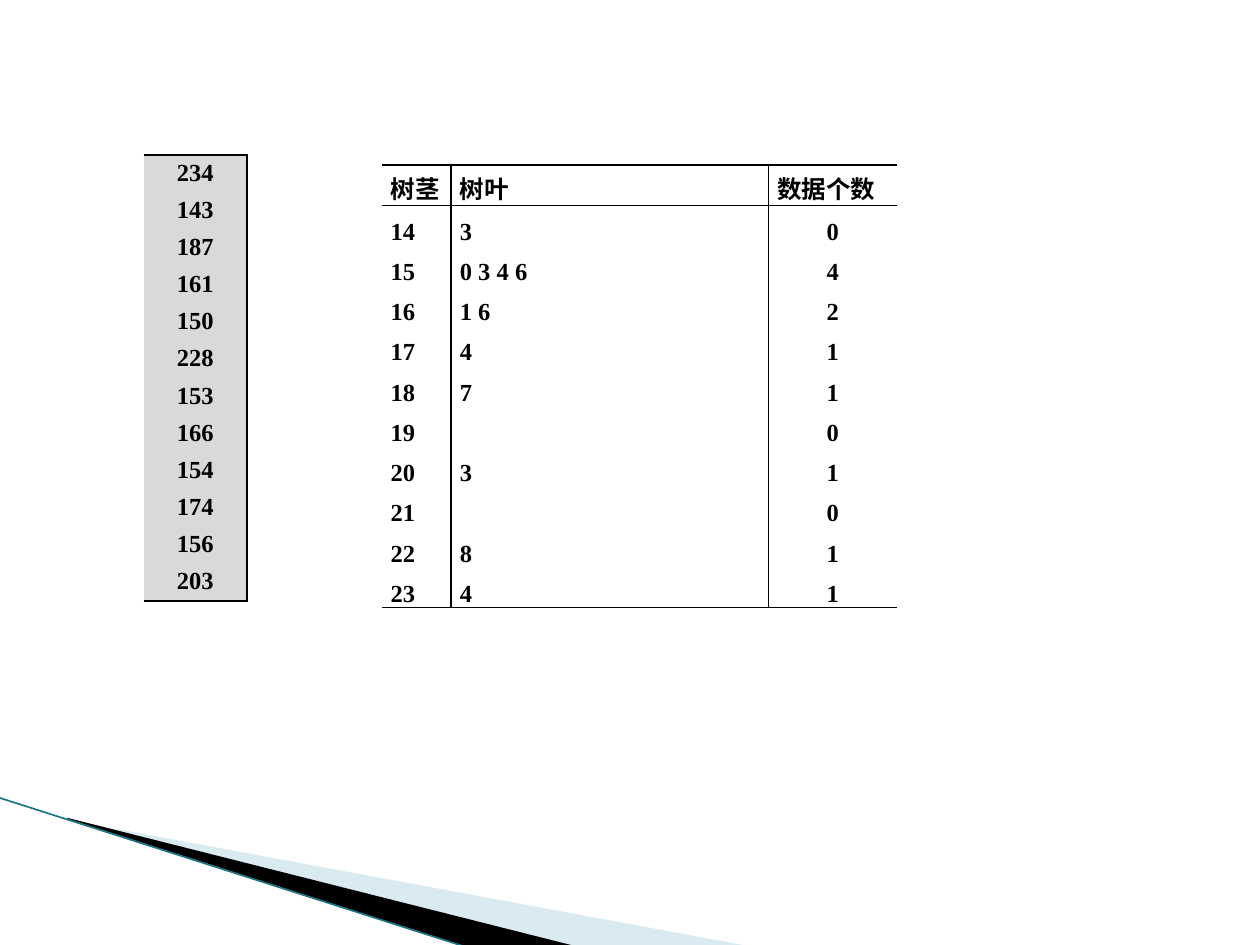
import pptx
import pptx.util
import pptx.dml.color
import pptx.enum.shapes
import pptx.enum.text
import pptx.oxml.ns
from lxml import etree
from pptx.util import Inches, Pt

FONT = "Times New Roman"
BLACK, GREY, PALE_BLUE, TEAL = "000000", "D9D9D9", "A0CBDC", "1B7587"

SAMPLE = [234, 143, 187, 161, 150, 228, 153, 166, 154, 174, 156, 203]
HEADERS = ["树茎", "树叶", "数据个数"]
STEM_LEAVES = [
    ("14", "3", "0"),
    ("15", "0 3 4 6", "4"),
    ("16", "1 6", "2"),
    ("17", "4", "1"),
    ("18", "7", "1"),
    ("19", "", "0"),
    ("20", "3", "1"),
    ("21", "", "0"),
    ("22", "8", "1"),
    ("23", "4", "1"),
]
WEDGES = [
    ([(0.55, 6.51), (5.95, 7.51), (4.56, 7.51), (0.55, 6.5)], PALE_BLUE, 40),
    ([(0.53, 6.49), (4.57, 7.51), (3.72, 7.52), (0.54, 6.5)], BLACK, 100),
]

CENTER = pptx.enum.text.PP_ALIGN.CENTER
JUSTIFY = pptx.enum.text.PP_ALIGN.JUSTIFY


def rgb(value):
    return pptx.dml.color.RGBColor.from_string(value)


def sub(parent, tag, **attrs):
    return etree.SubElement(parent, pptx.oxml.ns.qn(tag), **attrs)


def add_wedge(s, points, color, opacity):
    start, *rest = [(Inches(x), Inches(y)) for x, y in points]
    builder = s.shapes.build_freeform(*start)
    builder.add_line_segments(rest)
    sp = builder.convert_to_shape()
    sp.shadow.inherit = False
    sp.line.fill.background()
    sp.fill.solid()
    sp.fill.fore_color.rgb = rgb(color)
    if opacity < 100:
        clr = sp.fill._xPr.find(".//" + pptx.oxml.ns.qn("a:srgbClr"))
        sub(clr, "a:alpha", val=str(opacity * 1000))


def add_plain_table(s, left, top, widths, heights):
    frame = s.shapes.add_table(len(heights), len(widths), Inches(left), Inches(top),
                               Inches(sum(widths)), Inches(sum(heights)))
    table = frame.table
    table.first_row = table.horz_banding = False
    for column, width in zip(table.columns, widths):
        column.width = Inches(width)
    for row, height in zip(table.rows, heights):
        row.height = Inches(height)
    return table


def fill_cell(cell, lines, align, spacing, sides, fill=None):
    """Write lines one per paragraph; an empty line becomes space before the next."""
    cell.margin_left = cell.margin_right = Inches(0.07)
    cell.margin_top = cell.margin_bottom = 0
    tf = cell.text_frame
    tf.text = "\n".join(line for line in lines if line)
    paragraphs = iter(tf.paragraphs)
    gap = 0
    for line in lines:
        if not line:
            gap += spacing
            continue
        p = next(paragraphs)
        p.alignment = align
        p.line_spacing = Pt(spacing)
        p.space_before = Pt(gap)
        gap = 0
        font = p.runs[0].font
        font.name, font.size, font.bold = FONT, Pt(14), True
        font.color.rgb = rgb(BLACK)
    if fill:
        cell.fill.solid()
        cell.fill.fore_color.rgb = rgb(fill)
    else:
        cell.fill.background()
    set_borders(cell, sides)


def set_borders(cell, sides):
    """Draw the sides named in a string of L, R, T, B and clear the others."""
    tc_pr = cell._tc.get_or_add_tcPr()
    for i, side in enumerate("LRTB"):
        ln = sub(tc_pr, "a:ln" + side, w=str(Pt(1)))
        if side in sides:
            sub(sub(ln, "a:solidFill"), "a:srgbClr", val=BLACK)
        else:
            sub(ln, "a:noFill")
        tc_pr.insert(i, ln)


prs = pptx.Presentation()
prs.slide_width, prs.slide_height = Inches(10), Inches(7.5)
s = prs.slides.add_slide(prs.slide_layouts[6])

for wedge in WEDGES:
    add_wedge(s, *wedge)
edge = s.shapes.add_connector(pptx.enum.shapes.MSO_CONNECTOR.STRAIGHT,
                              Inches(-0.01), Inches(6.33), Inches(3.71), Inches(7.52))
edge.line.color.rgb = rgb(TEAL)
edge.line.width = Pt(0.95)
sub(edge._element.spPr, "a:effectLst")

count = len(SAMPLE)
sample_table = add_plain_table(s, 1.14, 1.23, [0.82], [3.54 / count] * count)
for i, value in enumerate(SAMPLE):
    sides = "R" + ("T" if i == 0 else "") + ("B" if i == count - 1 else "")
    fill_cell(sample_table.cell(i, 0), [str(value)], CENTER, 18, sides, GREY)

stem_table = add_plain_table(s, 3.03, 1.31, [0.55, 2.52, 1.02], [0.32, 3.19])
column_sides = ["RTB", "LRTB", "LTB"]
body_aligns = [JUSTIFY, JUSTIFY, CENTER]
columns = zip(HEADERS, zip(*STEM_LEAVES), column_sides, body_aligns)
for c, (header, values, sides, align) in enumerate(columns):
    fill_cell(stem_table.cell(0, c), [header], JUSTIFY, 23, sides)
    fill_cell(stem_table.cell(1, c), values, align, 23, sides)

prs.save("out.pptx")
